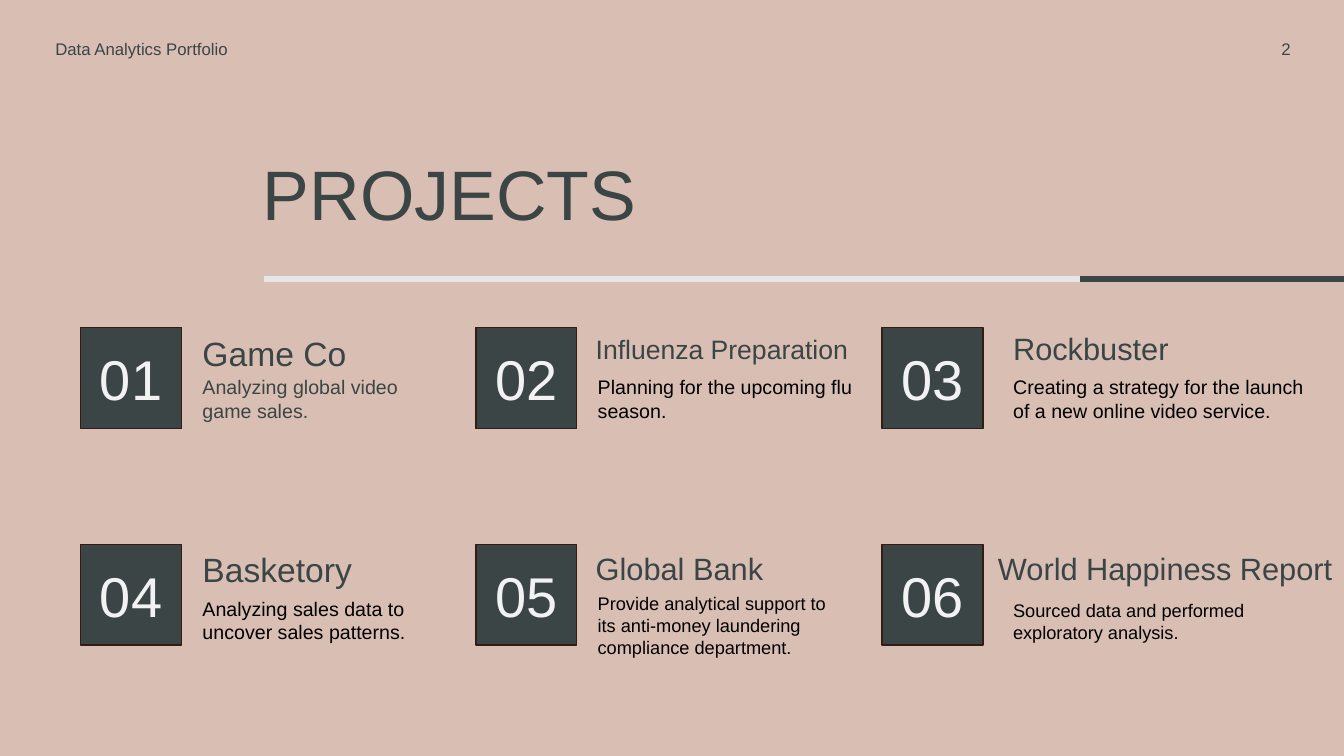
from lxml.etree import SubElement
from pptx import Presentation
from pptx.dml.color import RGBColor
from pptx.enum.shapes import MSO_CONNECTOR as CONNECTOR, MSO_SHAPE as SHAPE
from pptx.enum.text import MSO_ANCHOR as ANCHOR, PP_ALIGN as ALIGN
from pptx.oxml.ns import qn
from pptx.util import Inches, Pt

ROSE = RGBColor(0xD9, 0xBE, 0xB3)
SLATE = RGBColor(0x3B, 0x45, 0x46)
MIST = RGBColor(0xE7, 0xE6, 0xE6)
BROWN = RGBColor(0x33, 0x1C, 0x13)
OFF_WHITE = RGBColor(0xF2, 0xF2, 0xF2)
BLACK = RGBColor(0, 0, 0)

COLUMNS = (0.8, 4.72, 8.75)
ROWS = (3.25, 5.4)

PROJECTS = (
    (("Game Co", (1.91, 3.25, 1.64, 0.5), 24),
     ("Analyzing global video\ngame sales.", (1.91, 3.67, 2.21, 0.57), 14, SLATE, False)),
    (("Influenza Preparation", (5.81, 3.25, 2.74, 0.42), 19),
     ("Planning for the upcoming flu season.", (5.83, 3.67, 3.25, 0.57), 14, BLACK, True)),
    (("Rockbuster", (9.95, 3.22, 1.76, 0.47), 22),
     ("Creating a strategy for the launch\nof a new online video service.",
      (9.95, 3.67, 3.15, 0.57), 14, BLACK, False)),
    (("Basketory", (1.91, 5.4, 2, 0.5), 24),
     ("Analyzing sales data to uncover sales patterns.",
      (1.91, 5.87, 2.93, 0.57), 14, BLACK, True)),
    (("Global Bank", (5.81, 5.4, 1.88, 0.47), 22),
     ("Provide analytical support to its anti-money laundering compliance department.",
      (5.83, 5.83, 2.54, 0.76), 13, BLACK, True)),
    (("World Happiness Report", (9.8, 5.4, 3.56, 0.47), 22),
     ("Sourced data and performed exploratory analysis.",
      (9.95, 5.9, 2.54, 0.54), 13, BLACK, True)),
)


def write(frame, text, size, color=SLATE, align=ALIGN.LEFT, anchor=ANCHOR.TOP,
          wrap=True, spacing=None):
    """Fill a text frame, one paragraph per line of text."""
    frame.word_wrap = wrap
    frame.vertical_anchor = anchor
    frame.text = text
    for paragraph in frame.paragraphs:
        paragraph.alignment = align
        paragraph.line_spacing = spacing
        font = paragraph.runs[0].font
        font.name = "Arial"
        font.size = Pt(size)
        font.color.rgb = color


def add_label(slide, text, box, size, **style):
    """Add a text box with formatted text."""
    label = slide.shapes.add_textbox(*map(Inches, box))
    write(label.text_frame, text, size, **style)


def add_rule(slide, start, end, color):
    """Add one stretch of the horizontal rule under the title."""
    y = Inches(2.77)
    rule = slide.shapes.add_connector(CONNECTOR.STRAIGHT, Inches(start), y, Inches(end), y)
    rule.line.color.rgb = color
    rule.line.width = Pt(4.5)
    SubElement(rule._element.spPr, qn("a:effectLst"))


def add_number_tile(slide, number, left, top):
    """Add a square tile with a two-digit project number."""
    tile = slide.shapes.add_shape(SHAPE.RECTANGLE, Inches(left), Inches(top),
                                  Inches(1), Inches(1))
    tile.shadow.inherit = False
    tile.fill.solid()
    tile.fill.fore_color.rgb = SLATE
    tile.line.color.rgb = BROWN
    tile.line.width = Pt(1)
    write(tile.text_frame, f"{number:02}", 40, color=OFF_WHITE,
          align=ALIGN.CENTER, anchor=ANCHOR.MIDDLE)


def main():
    """Build and save the projects slide."""
    deck = Presentation()
    deck.slide_width, deck.slide_height = Inches(13.33), Inches(7.5)
    slide = deck.slides.add_slide(deck.slide_layouts[6])
    slide.background.fill.solid()
    slide.background.fill.fore_color.rgb = ROSE

    add_rule(slide, 2.62, 10.71, MIST)
    add_rule(slide, 10.71, 13.33, SLATE)
    add_label(slide, "PROJECTS", (2.51, 1.6, 8.2, 0.77), 50,
              anchor=ANCHOR.BOTTOM, spacing=0.8)
    add_label(slide, "Data Analytics Portfolio", (0.45, 0.33, 2, 0.3), 12,
              anchor=ANCHOR.MIDDLE)
    add_label(slide, "2", (11.07, 0.33, 1.83, 0.3), 12,
              align=ALIGN.RIGHT, anchor=ANCHOR.MIDDLE)

    for index, (heading, summary) in enumerate(PROJECTS):
        row, column = divmod(index, len(COLUMNS))
        add_number_tile(slide, index + 1, COLUMNS[column], ROWS[row])
        add_label(slide, *heading)
        text, box, size, color, wrap = summary
        add_label(slide, text, box, size, color=color, wrap=wrap)

    deck.save("out.pptx")


if __name__ == "__main__":
    main()
